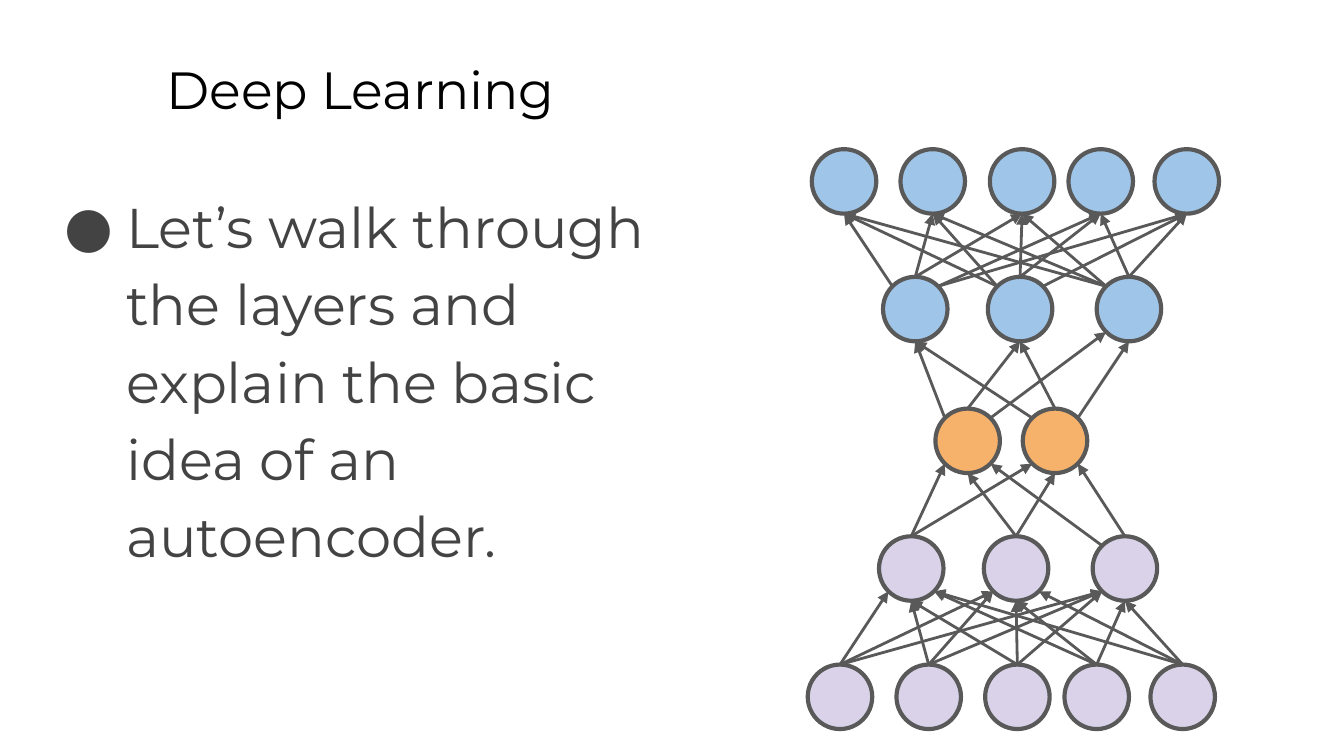
from dataclasses import dataclass

import pptx
import pptx.dml.color
import pptx.enum.shapes
import pptx.oxml.ns
import pptx.util
from lxml import etree

SCALE = 4572
WIDTH = 2000
HEIGHT = 1125
RADIUS = 48
SLANT = 34
INSET = 20


@dataclass(frozen=True)
class Theme:
    font: str = "Montserrat"
    title: str = "000000"
    body: str = "434343"
    edge: str = "595959"
    lilac: str = "D9D2E9"
    orange: str = "F6B26B"
    blue: str = "9FC5E8"
    head: int = 28
    text: int = 30
    rim: float = 2.25
    wire: float = 1.5


@dataclass(frozen=True)
class Layer:
    xs: tuple[int, ...]
    y: int
    fill: str


@dataclass(frozen=True)
class Link:
    outer: int
    inner: int
    side: int = 0
    start: int = 0


@dataclass(frozen=True)
class Label:
    text: str
    box: tuple[int, int, int, int]
    size: int
    color: str
    bullet: bool = False


THEME = Theme()

INPUT = Layer((1250, 1382, 1514, 1632, 1760), 1037, THEME.lilac)
ENCODE = Layer((1356, 1512, 1674), 846, THEME.lilac)
CODE = Layer((1440, 1570), 656, THEME.orange)
DECODE = Layer((1362, 1518, 1680), 460, THEME.blue)
OUTPUT = Layer((1256, 1388, 1521, 1638, 1766), 270, THEME.blue)

WIDE = (
    Link(0, 0, -1), Link(0, 1, -1), Link(0, 2, -1),
    Link(1, 0), Link(1, 1, -1), Link(1, 2, -1),
    Link(2, 0), Link(2, 1), Link(2, 2, -1),
    Link(3, 0, 1), Link(3, 1), Link(3, 2),
    Link(4, 0, 1), Link(4, 1, 1), Link(4, 2),
)
NARROW = (
    Link(0, 0, -1), Link(0, 1, -1),
    Link(1, 0), Link(1, 1),
    Link(2, 0, 1, -1), Link(2, 1, 1),
)

LABELS = (
    Label("Deep Learning", (228, 65, 1704, 126), THEME.head, THEME.title),
    Label("Let’s walk through the layers and explain the basic idea of an autoencoder.",
          (68, 252, 964, 748), THEME.text, THEME.body, True),
)


def px(value: int) -> pptx.util.Emu:
    return pptx.util.Emu(value * SCALE)


def rgb(color: str) -> pptx.dml.color.RGBColor:
    return pptx.dml.color.RGBColor.from_string(color)


def add(parent, tag: str, **attrs: str):
    return etree.SubElement(parent, pptx.oxml.ns.qn(tag), **attrs)


def draw_layer(slide, layer: Layer) -> None:
    for x in layer.xs:
        node = slide.shapes.add_shape(
            pptx.enum.shapes.MSO_SHAPE.OVAL,
            px(x - RADIUS), px(layer.y - RADIUS), px(2 * RADIUS), px(2 * RADIUS))
        node.shadow.inherit = False
        node.fill.solid()
        node.fill.fore_color.rgb = rgb(layer.fill)
        node.line.color.rgb = rgb(THEME.edge)
        node.line.width = pptx.util.Pt(THEME.rim)


def port(layer: Layer, index: int, side: int, way: int) -> tuple[int, int]:
    rise = SLANT if side else RADIUS
    return layer.xs[index] + side * SLANT, layer.y + way * rise


def draw_arrow(slide, start: tuple[int, int], end: tuple[int, int]) -> None:
    arrow = slide.shapes.add_connector(
        pptx.enum.shapes.MSO_CONNECTOR.STRAIGHT, *map(px, start + end))
    arrow.line.color.rgb = rgb(THEME.edge)
    arrow.line.width = pptx.util.Pt(THEME.wire)
    props = arrow._element.spPr
    add(props.find(pptx.oxml.ns.qn("a:ln")), "a:tailEnd", type="triangle")
    add(props, "a:effectLst")


def draw_links(slide, outer: Layer, inner: Layer, links: tuple[Link, ...]) -> None:
    way = 1 if outer.y > inner.y else -1
    for link in links:
        ends = (port(outer, link.outer, link.start, -way),
                port(inner, link.inner, link.side, way))
        draw_arrow(slide, *ends[::way])


def draw_label(slide, label: Label) -> None:
    frame = slide.shapes.add_textbox(*map(px, label.box)).text_frame
    frame.word_wrap = True
    frame.margin_left = frame.margin_right = px(INSET)
    frame.margin_top = frame.margin_bottom = px(INSET)
    para = frame.paragraphs[0]
    para.text = label.text
    if label.bullet:
        props = para._p.get_or_add_pPr()
        props.set("marL", str(px(100)))
        props.set("indent", str(px(-92)))
        add(add(props, "a:buClr"), "a:srgbClr", val=label.color)
        add(props, "a:buFont", typeface=THEME.font)
        add(props, "a:buChar", char="●")
        para.line_spacing = 1.15
    para.font.name = THEME.font
    para.font.size = pptx.util.Pt(label.size)
    para.font.color.rgb = rgb(label.color)


def main() -> None:
    deck = pptx.Presentation()
    deck.slide_width, deck.slide_height = px(WIDTH), px(HEIGHT)
    slide = deck.slides.add_slide(deck.slide_layouts[6])
    for layer in (INPUT, ENCODE, CODE, DECODE, OUTPUT):
        draw_layer(slide, layer)
    draw_links(slide, INPUT, ENCODE, WIDE)
    draw_links(slide, ENCODE, CODE, NARROW)
    draw_links(slide, DECODE, CODE, NARROW)
    draw_links(slide, OUTPUT, DECODE, WIDE)
    for label in LABELS:
        draw_label(slide, label)
    deck.save("out.pptx")


if __name__ == "__main__":
    main()
